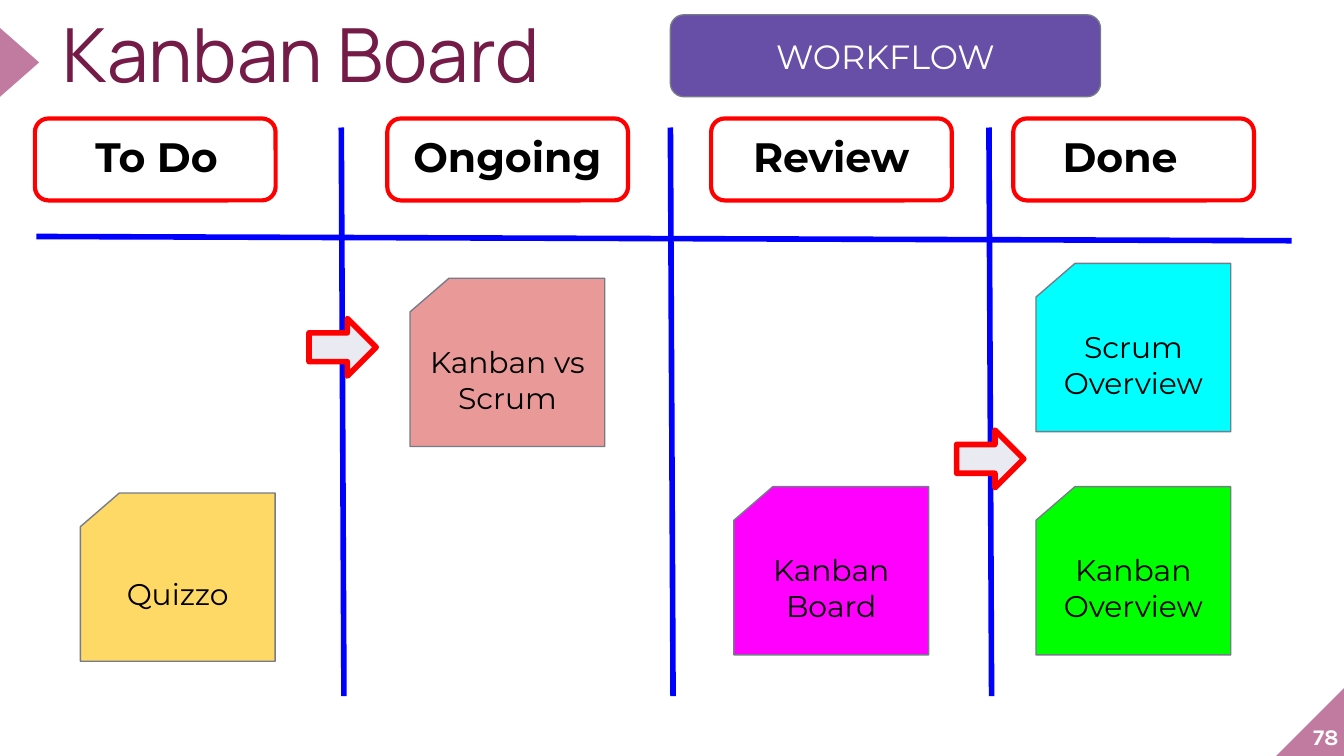
from lxml import etree
from pptx import Presentation
from pptx.dml.color import RGBColor
from pptx.enum.shapes import MSO_CONNECTOR, MSO_SHAPE
from pptx.enum.text import MSO_ANCHOR, MSO_AUTO_SIZE, PP_ALIGN
from pptx.oxml.ns import qn
from pptx.util import Cm, Pt

LEFT, CENTER, RIGHT = PP_ALIGN.LEFT, PP_ALIGN.CENTER, PP_ALIGN.RIGHT
TOP, MIDDLE, BOTTOM = MSO_ANCHOR.TOP, MSO_ANCHOR.MIDDLE, MSO_ANCHOR.BOTTOM

COLORS = {
    "accent": "C27BA0", "title": "741B47", "workflow": "674EA7",
    "divider": "0000FF", "frame": "FF0000", "outline": "757B89",
    "arrow": "E9EAF2", "black": "000000", "white": "FFFFFF",
    "yellow": "FFD966", "salmon": "EA9999", "magenta": "FF00FF",
    "cyan": "00FFFF", "green": "00FF00",
}


def add_shape(kind, left, top, width, height, fill=None, line=None, weight=0.75):
    """Add a flat shape, in centimetres; no fill or line unless a colour is named."""
    shape = slide.shapes.add_shape(kind, Cm(left), Cm(top), Cm(width), Cm(height))
    shape.shadow.inherit = False
    if fill:
        shape.fill.solid()
        shape.fill.fore_color.rgb = RGBColor.from_string(COLORS[fill])
    else:
        shape.fill.background()
    if line:
        shape.line.color.rgb = RGBColor.from_string(COLORS[line])
        shape.line.width = Pt(weight)
    else:
        shape.line.fill.background()
    return shape


def write(shape, text, size, font="Montserrat", color="black", bold=False,
          align=CENTER, anchor=MIDDLE, inset=0.25):
    frame = shape.text_frame
    frame.text = text
    frame.word_wrap = True
    frame.auto_size = MSO_AUTO_SIZE.NONE
    frame.vertical_anchor = anchor
    frame.margin_left = frame.margin_right = Cm(inset)
    frame.margin_top = frame.margin_bottom = Cm(inset)
    for paragraph in frame.paragraphs:
        paragraph.alignment = align
        for run in paragraph.runs:
            run.font.name = font
            run.font.size = Pt(size)
            run.font.bold = bold
            run.font.color.rgb = RGBColor.from_string(COLORS[color])


presentation = Presentation()
presentation.slide_width, presentation.slide_height = Cm(25.4), Cm(14.29)
slide = presentation.slides.add_slide(presentation.slide_layouts[5])

# Corner, title marker and page number
corner = add_shape(MSO_SHAPE.RIGHT_TRIANGLE, 24.12, 12.99, 1.3, 1.3, "accent")
corner._element.spPr.find(qn("a:xfrm")).set("flipH", "1")
marker = add_shape(MSO_SHAPE.ISOSCELES_TRIANGLE, -0.28, 0.81, 1.3, 0.74, "accent")
marker.rotation = 90
page_number = slide.shapes.add_textbox(Cm(24.03), Cm(12.88), Cm(1.27), Cm(1.3))
write(page_number, "78", 12, "Karla", "white", True, RIGHT, BOTTOM, 0)

# Title and workflow banner
title = slide.shapes.title
title.left, title.top, title.width, title.height = Cm(1.19), Cm(0.48), Cm(23.37), Cm(1.75)
write(title, "Kanban Board", 40, "Manrope", "title", align=LEFT, anchor=TOP, inset=0)
title.text_frame.paragraphs[0].line_spacing = 0.8
banner = add_shape(MSO_SHAPE.ROUNDED_RECTANGLE, 12.67, 0.28, 8.13, 1.55,
                   "workflow", "outline")
write(banner, "WORKFLOW", 18, color="white")

# Board lines: one across, three slightly slanted ones down
board_lines = [(0.69, 4.47, 24.41, 4.55)]
board_lines += [(x + 0.05, 13.16, x, 2.41) for x in (6.45, 12.67, 18.69)]
for x1, y1, x2, y2 in board_lines:
    divider = slide.shapes.add_connector(
        MSO_CONNECTOR.STRAIGHT, Cm(x1), Cm(y1), Cm(x2), Cm(y2))
    divider.line.color.rgb = RGBColor.from_string(COLORS["divider"])
    divider.line.width = Pt(3)
    etree.SubElement(divider._element.spPr, qn("a:effectLst"))

# Column headings: frame left, label left
headings = [("To Do", 0.66, 0.71), ("Ongoing", 7.32, 7.34),
            ("Review", 13.44, 13.46), ("Done", 19.15, 18.92)]
for text, frame_left, label_left in headings:
    add_shape(MSO_SHAPE.ROUNDED_RECTANGLE, frame_left, 2.24, 4.55, 1.55,
              line="frame", weight=2.25)
    label = slide.shapes.add_textbox(Cm(label_left), Cm(2.24), Cm(4.5), Cm(1.09))
    write(label, text, 22, bold=True, anchor=TOP)

# Cards
cards = [("Quizzo", 1.52, 9.32, "yellow"), ("Kanban vs Scrum", 7.75, 5.26, "salmon"),
         ("Kanban Board", 13.87, 9.2, "magenta"), ("Scrum Overview", 19.58, 4.98, "cyan"),
         ("Kanban\nOverview", 19.58, 9.2, "green")]
for text, left, top, fill in cards:
    card = add_shape(MSO_SHAPE.FLOWCHART_CARD, left, top, 3.68, 3.18, fill, "outline")
    write(card, text, 16)

# Moves between columns
for left, top in ((5.84, 6.02), (18.08, 8.13)):
    add_shape(MSO_SHAPE.RIGHT_ARROW, left, top, 1.27, 1.09, "arrow", "frame", 3)

presentation.save("out.pptx")
